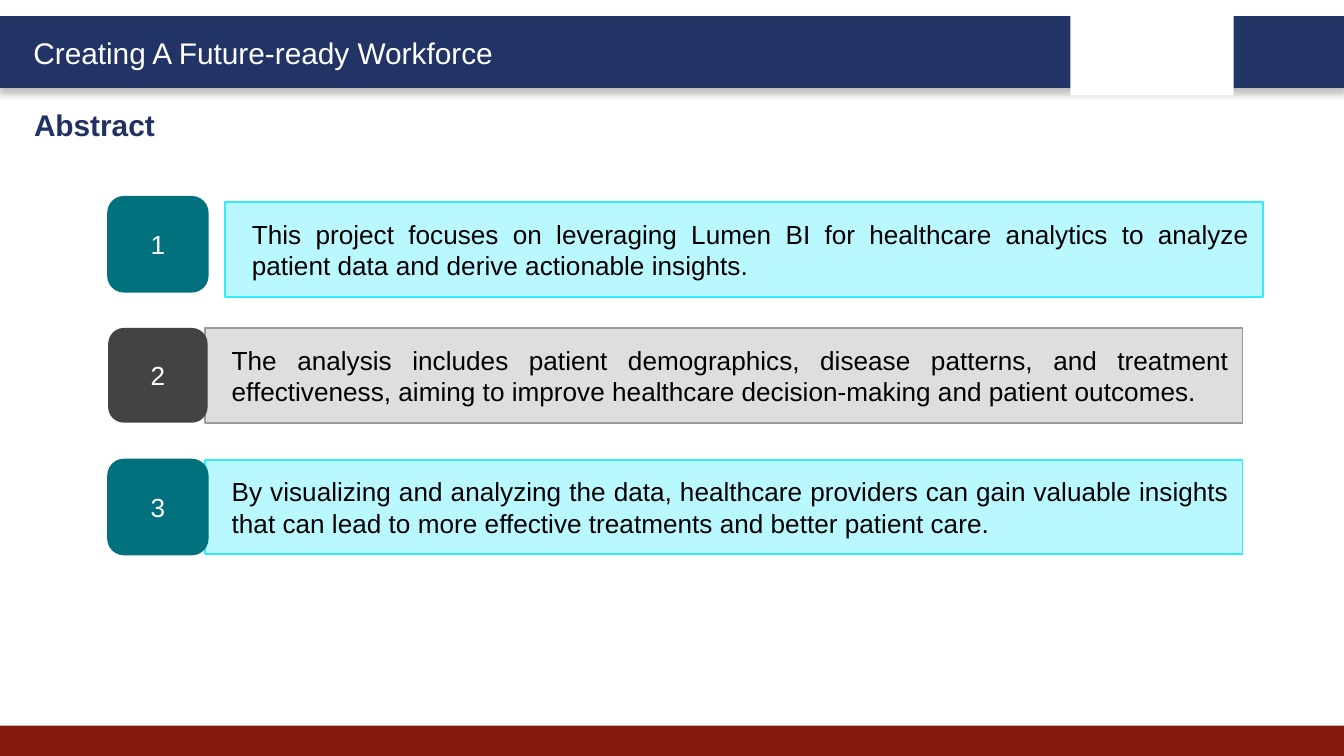
from dataclasses import dataclass

from lxml import etree
from pptx import Presentation
from pptx import util as u
from pptx.dml.color import RGBColor
from pptx.enum import shapes, text
from pptx.oxml import ns

PX = u.Inches(1) // 200
SLIDE_W, SLIDE_H = 2000, 1125
PANEL_W, BADGE_W, ROW_H = 1544, 148, 141
BADGE_LEFT, PANEL_INDENT = 161, 20
FONT = "Arial"
WHITE, BLACK = "FFFFFF", "000000"
NAVY, TITLE_NAVY, RED = "223366", "213163", "851910"
RECT = shapes.MSO_SHAPE.RECTANGLE
ROUNDED = shapes.MSO_SHAPE.ROUNDED_RECTANGLE
ALIGN = text.PP_ALIGN


@dataclass(frozen=True)
class Box:
    left: int
    top: int
    width: int
    height: int

    def emu(self) -> tuple[int, ...]:
        return tuple(v * PX for v in (self.left, self.top, self.width, self.height))


@dataclass(frozen=True)
class Theme:
    badge: str
    badge_line: str | None
    panel: str
    panel_line: str


@dataclass(frozen=True)
class Point:
    badge_top: int
    panel_left: int
    panel_top: int
    theme: Theme
    text: str


TEAL = Theme("00717D", "00717D", "BAF8FF", "31EBFF")
GREY = Theme("434343", None, "DEDEDE", "9B9B9B")

POINTS = [
    Point(293, 335, 301, TEAL,
          "This project focuses on leveraging Lumen BI for healthcare analytics "
          "to analyze patient data and derive actionable insights."),
    Point(488, 305, 488, GREY,
          "The analysis includes patient demographics, disease patterns, and "
          "treatment effectiveness, aiming to improve healthcare "
          "decision-making and patient outcomes."),
    Point(684, 305, 684, TEAL,
          "By visualizing and analyzing the data, healthcare providers can gain "
          "valuable insights that can lead to more effective treatments and "
          "better patient care."),
]


def rgb(value: str) -> RGBColor:
    return RGBColor.from_string(value)


def add_block(slide, kind, box: Box, fill: str, line: str | None = None,
              line_pt: int = 1):
    sp = slide.shapes.add_shape(kind, *box.emu())
    sp.shadow.inherit = False
    sp.fill.solid()
    sp.fill.fore_color.rgb = rgb(fill)
    if line:
        sp.line.color.rgb = rgb(line)
        sp.line.width = u.Pt(line_pt)
    else:
        sp.line.fill.background()
    return sp


def write(sp, content: str, size: int, color: str, align=ALIGN.LEFT,
          bold: bool = False):
    tf = sp.text_frame
    tf.word_wrap = True
    tf.text = content
    p = tf.paragraphs[0]
    p.alignment = align
    font = p.runs[0].font
    font.name, font.size, font.bold = FONT, u.Pt(size), bold
    font.color.rgb = rgb(color)
    return p


def add_heading(slide, box: Box, content: str, color: str, bold: bool = False) -> None:
    sp = slide.shapes.add_textbox(*box.emu())
    write(sp, content, 16, color, bold=bold)
    sp.text_frame.auto_size = text.MSO_AUTO_SIZE.SHAPE_TO_FIT_TEXT


def add_soft_shadow(sp) -> None:
    """Cast a faint shadow straight down."""
    effects = sp._element.spPr.find(ns.qn("a:effectLst"))
    shadow = etree.SubElement(effects, ns.qn("a:outerShdw"), blurRad=str(u.Pt(4)),
                              dist=str(u.Pt(3)), dir="5400000", rotWithShape="0")
    color = etree.SubElement(shadow, ns.qn("a:srgbClr"), val=BLACK)
    etree.SubElement(color, ns.qn("a:alpha"), val="25000")


def add_point(slide, number: int, point: Point) -> None:
    theme = point.theme
    panel = add_block(slide, RECT,
                      Box(point.panel_left, point.panel_top, PANEL_W, ROW_H),
                      theme.panel, theme.panel_line)
    panel.text_frame.vertical_anchor = text.MSO_ANCHOR.MIDDLE
    p = write(panel, point.text, 14, BLACK, ALIGN.JUSTIFY)
    p._p.get_or_add_pPr().set("marL", str(PANEL_INDENT * PX))

    badge = add_block(slide, ROUNDED,
                      Box(BADGE_LEFT, point.badge_top, BADGE_W, ROW_H),
                      theme.badge, theme.badge_line)
    badge.text_frame.vertical_anchor = text.MSO_ANCHOR.MIDDLE
    write(badge, str(number), 14, WHITE, ALIGN.CENTER)


def main() -> None:
    prs = Presentation()
    prs.slide_width, prs.slide_height = SLIDE_W * PX, SLIDE_H * PX
    slide = prs.slides.add_slide(prs.slide_layouts[6])

    header = add_block(slide, RECT, Box(0, 26, SLIDE_W, 102), NAVY, NAVY, 2)
    add_soft_shadow(header)
    add_block(slide, RECT, Box(0, 1080, SLIDE_W, 45), RED)
    add_block(slide, RECT, Box(1593, 14, 243, 128), WHITE)
    add_heading(slide, Box(30, 42, 756, 74), "Creating A Future-ready Workforce", WHITE)
    add_heading(slide, Box(31, 149, 968, 74), "Abstract", TITLE_NAVY, bold=True)

    for number, point in enumerate(POINTS, start=1):
        add_point(slide, number, point)

    prs.save("out.pptx")


if __name__ == "__main__":
    main()
